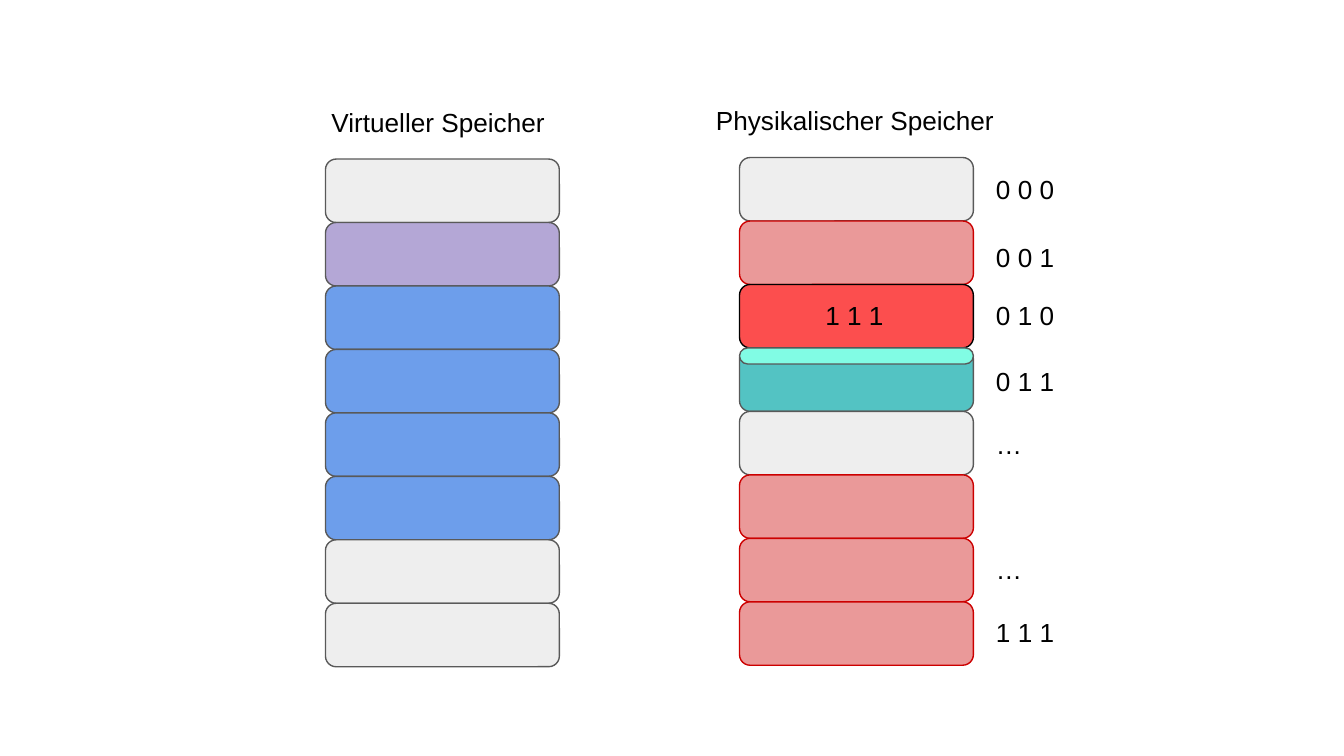
from pptx import Presentation
from pptx import util as u
from pptx.dml import color
from pptx.enum import shapes, text

Pt = u.Pt
COLORS = {
    "free": "EEEEEE", "purple": "B4A7D6", "blue": "6D9EEB",
    "rose": "EA9999", "red": "FC4E4E", "teal": "53C3C3", "mint": "81FCE4",
    "gray_line": "595959", "red_line": "CC0000", "black": "000000",
}
LINES = {"rose": "red_line", "red": "black"}
VIRTUAL = ["free", "purple"] + ["blue"] * 4 + ["free"] * 2
PHYSICAL = ["free", "rose", "red", "teal", "free"] + ["rose"] * 3
ADDRESSES = [
    (0, 1.3, "0 0 0"), (1, 4, "0 0 1"), (2, 1, "0 1 0"), (3, 2.2, "0 1 1"),
    (4, 2.1, "…"), (6, 1, "…"), (7, 0.9, "1 1 1"),
]
PAGE_W, PAGE_H = 125.3, 34
LABEL_W, LABEL_H = 55.4, 31.7


def rgb(name):
    """Return the named colour."""
    return color.RGBColor.from_string(COLORS[name])


def add_block(s, x, y, w, h, fill, radius=0.167):
    """Add one rounded memory block."""
    sp = s.shapes.add_shape(
        shapes.MSO_SHAPE.ROUNDED_RECTANGLE, Pt(x), Pt(y), Pt(w), Pt(h))
    sp.adjustments[0] = radius
    sp.shadow.inherit = False
    sp.fill.solid()
    sp.fill.fore_color.rgb = rgb(fill)
    sp.line.color.rgb = rgb(LINES.get(fill, "gray_line"))
    sp.line.width = Pt(0.75)


def add_label(s, x, y, w, content):
    """Add one line of 14 pt text."""
    tf = s.shapes.add_textbox(Pt(x), Pt(y), Pt(w), Pt(LABEL_H)).text_frame
    tf.word_wrap = True
    tf.auto_size = text.MSO_AUTO_SIZE.SHAPE_TO_FIT_TEXT
    tf.margin_left = tf.margin_right = Pt(7.2)
    tf.margin_top = tf.margin_bottom = Pt(7.2)
    tf.text = content
    font = tf.paragraphs[0].runs[0].font
    font.name = "Arial"
    font.size = Pt(14)
    font.color.rgb = rgb("black")


def add_memory(s, x, y, heading, heading_w, pages):
    """Stack the pages of a memory below its centred heading."""
    add_label(s, x + (PAGE_W - heading_w) / 2, y - 35.5, heading_w, heading)
    for i, fill in enumerate(pages):
        add_block(s, x, y + i * PAGE_H, PAGE_W, PAGE_H, fill)


def add_physical_details(s, x, y):
    """Add the filled strip, the stored value and the page addresses."""
    add_block(s, x, y + 3 * PAGE_H, PAGE_W, 8.6, "mint", 0.5)
    add_label(s, x + 38.9, y + 2 * PAGE_H + 1, LABEL_W, "1 1 1")
    for i, offset, address in ADDRESSES:
        add_label(s, x + PAGE_W + 5, y + i * PAGE_H + offset, LABEL_W, address)


def main():
    """Build the slide and save it."""
    prs = Presentation()
    prs.slide_width, prs.slide_height = Pt(720), Pt(405)
    s = prs.slides.add_slide(prs.slide_layouts[6])
    add_memory(s, 174.4, 85.2, "Virtueller Speicher", 133.2, VIRTUAL)
    add_memory(s, 396.2, 84.4, "Physikalischer Speicher", 164.9, PHYSICAL)
    add_physical_details(s, 396.2, 84.4)
    prs.save("out.pptx")


if __name__ == "__main__":
    main()
